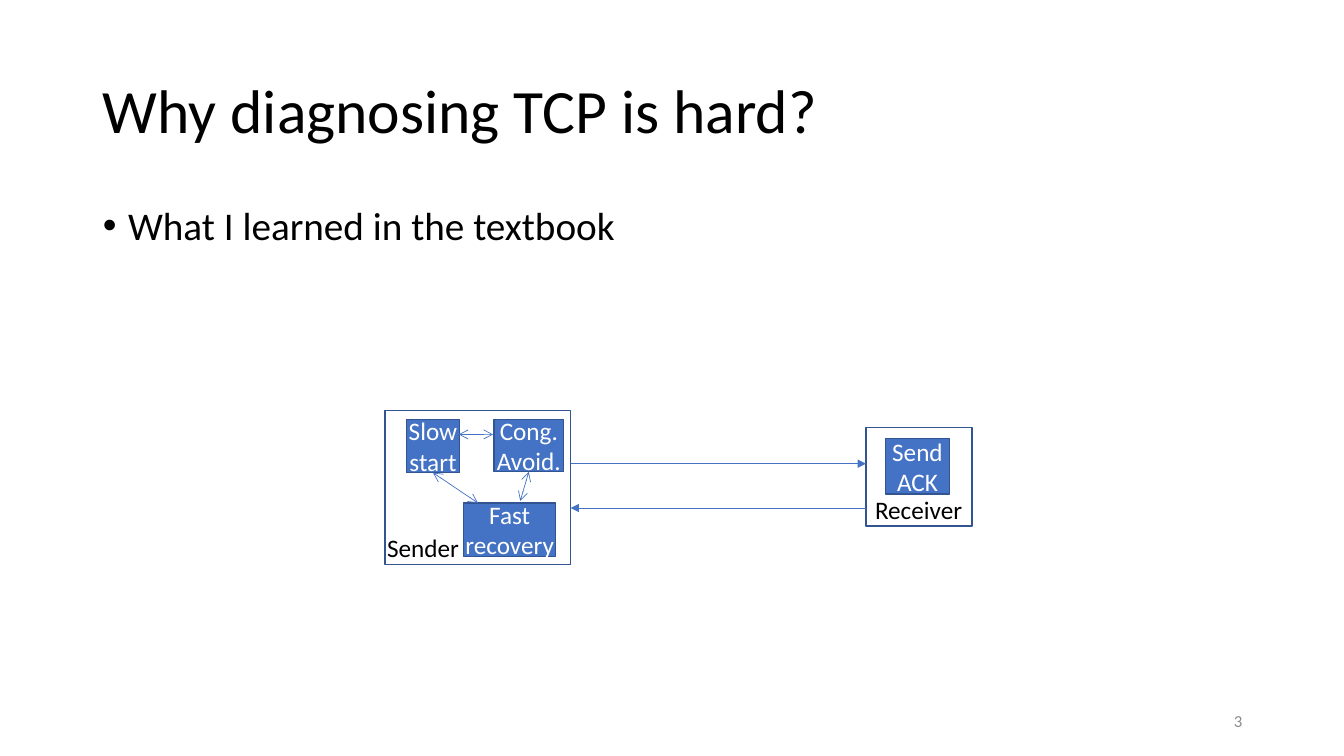
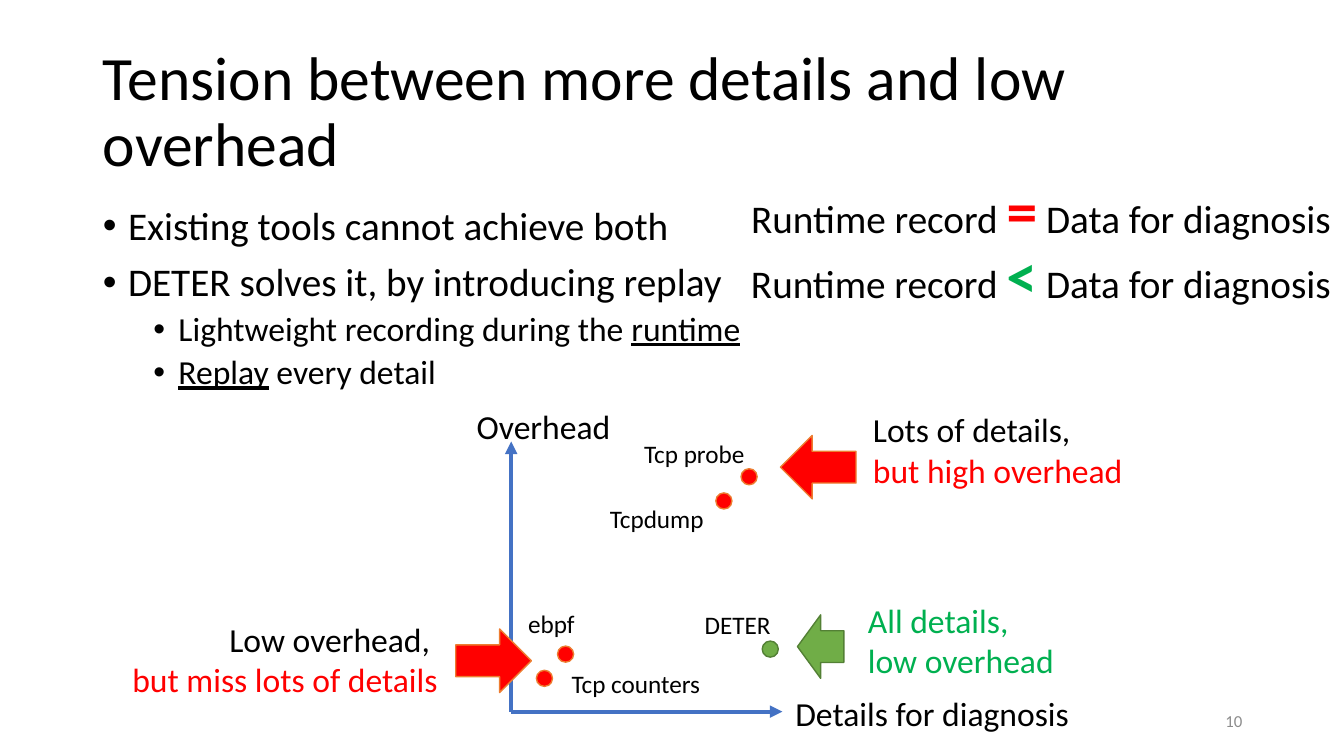
from lxml import etree
from pptx import Presentation
from pptx.dml.color import RGBColor
from pptx.enum import shapes, text
from pptx.oxml.ns import qn
from pptx.util import Inches, Pt

BLACK, WHITE = RGBColor(0, 0, 0), RGBColor(255, 255, 255)
GRAY = RGBColor(0x8C, 0x8C, 0x8C)
BLUE, NAVY = RGBColor(0x44, 0x72, 0xC4), RGBColor(0x32, 0x54, 0x91)
RED, ORANGE = RGBColor(255, 0, 0), RGBColor(0xED, 0x7D, 0x31)
GREEN, DARK_GREEN = RGBColor(0x70, 0xAD, 0x47), RGBColor(0x53, 0x80, 0x35)
TEXT_GREEN = RGBColor(0, 0xB0, 0x50)
FONT = "Calibri"
RECTANGLE, ELLIPSE, LEFT_ARROW = (
    shapes.MSO_SHAPE.RECTANGLE, shapes.MSO_SHAPE.OVAL, shapes.MSO_SHAPE.LEFT_ARROW)
LEFT, CENTER, RIGHT = text.PP_ALIGN.LEFT, text.PP_ALIGN.CENTER, text.PP_ALIGN.RIGHT
MIDDLE = text.MSO_ANCHOR.MIDDLE

# Content: bullets are (level, runs), and a run is (text, format)
UNDERLINED = {"underline": True}
HARD = {
    "title": "Why diagnosing TCP is hard?", "title_width": 11.5, "number": "3",
    "bullets": [(0, [("What I learned in the textbook", {})])],
}
TENSION = {
    "title": "Tension between more details and low overhead",
    "title_width": 12.24, "number": "10",
    "bullets": [
        (0, [("Existing tools cannot achieve both", {})]),
        (0, [("DETER solves it, by introducing replay", {})]),
        (1, [("Lightweight recording during the ", {}), ("runtime", UNDERLINED)]),
        (1, [("Replay", UNDERLINED), (" every detail", {})]),
    ],
}
# Sender and receiver: boxes as left, top, width, height
FRAMES = [(3.82, 4.07, 1.84, 1.53), (8.59, 4.24, 1.05, 0.98)]
STATES = {
    "Slow start": (4.03, 4.16, 0.53, 0.53),
    "Cong. Avoid.": (4.9, 4.16, 0.69, 0.52),
    "Fast recovery": (4.6, 4.99, 0.91, 0.53),
    "Send ACK": (8.78, 4.35, 0.64, 0.55),
}
ROLES = [("Sender", (3.74, 5.23, 0.92, 0.4)), ("Receiver", (8.58, 4.86, 1.08, 0.4))]
# Transitions: start, end, state whose bottom the line leaves
TRANSITIONS = [
    ((4.55, 4.31), (4.89, 4.31), None),
    ((5.24, 4.68), (5.16, 4.97), "Cong. Avoid."),
    ((4.3, 4.69), (4.74, 4.99), "Slow start"),
]
MESSAGES = [((5.66, 4.6), (8.59, 4.6)), ((8.59, 5.04), (5.66, 5.04))]

# Overhead chart
ORIGIN = (5.07, 7.06)
AXIS_ENDS = [(7.76, 7.06), (5.07, 4.38)]
AXIS_NAMES = [("Details for diagnosis", (7.79, 6.83, 2.94, 0.5)),
              ("Overhead", (4.63, 3.98, 1.54, 0.5))]
RED_STYLE, GREEN_STYLE = (RED, ORANGE), (GREEN, DARK_GREEN)
DOT = 0.16
TOOLS = [  # name, label box, dot corner, dot style
    ("Tcpdump", (5.95, 4.94, 1.14, 0.4), (7.1, 4.89), RED_STYLE),
    ("Tcp probe", (6.29, 4.3, 1.21, 0.4), (7.35, 4.65), RED_STYLE),
    ("Tcp counters", (5.57, 6.58, 1.49, 0.4), (5.32, 6.65), RED_STYLE),
    ("DETER", (6.89, 6, 0.86, 0.4), (7.56, 6.36), GREEN_STYLE),
    ("ebpf", (5.14, 5.99, 0.67, 0.4), (5.53, 6.41), RED_STYLE),
]
VERDICTS = [  # lines with colours, text box, alignment, arrow box, rotation, arrow style
    ([("Lots of details,", BLACK), ("but high overhead", RED)],
     (8.56, 4.01, 2.7, 0.91), LEFT, (7.74, 4.32, 0.75, 0.63), 0, RED_STYLE),
    ([("Low overhead, ", BLACK), ("but miss lots of details", RED)],
     (1.18, 6.09, 3.26, 0.91), RIGHT, (4.52, 6.24, 0.75, 0.63), 180, RED_STYLE),
    ([("All details,", TEXT_GREEN), ("low overhead", TEXT_GREEN)],
     (8.51, 5.9, 2.06, 0.91), LEFT, (7.91, 6.1, 0.46, 0.63), 0, GREEN_STYLE),
]
COMPARISONS = [("=", RED, (7.45, 1.71, 5.91, 0.74), 0),
               ("<", TEXT_GREEN, (7.35, 2.3, 6.02, 0.84), None)]


def inches(values):
    return [Inches(value) for value in values]


def add_runs(paragraph, runs, size, color=BLACK):
    for words, changes in runs:
        run = paragraph.add_run()
        run.text = words
        values = {"name": FONT, "size": Pt(size), **changes}
        run.font.color.rgb = values.pop("color", color)
        for name, value in values.items():
            setattr(run.font, name, value)


def set_margins(frame, value):
    for side in ("left", "right", "top", "bottom"):
        setattr(frame, f"margin_{side}", Inches(value))


def add_label(slide, box, lines, size, align=LEFT, margin=None):
    frame = slide.shapes.add_textbox(*inches(box)).text_frame
    frame.word_wrap = False
    frame.auto_size = text.MSO_AUTO_SIZE.SHAPE_TO_FIT_TEXT
    if margin is not None:
        set_margins(frame, margin)
    for index, runs in enumerate(lines):
        paragraph = frame.add_paragraph() if index else frame.paragraphs[0]
        paragraph.alignment = align
        add_runs(paragraph, runs, size)
    return frame


def add_box(slide, kind, box, fill, line):
    shape = slide.shapes.add_shape(kind, *inches(box))
    shape.shadow.inherit = False
    if fill is None:
        shape.fill.background()
    else:
        shape.fill.solid()
        shape.fill.fore_color.rgb = fill
    shape.line.color.rgb = line
    shape.line.width = Pt(1)
    return shape


def add_arrow(slide, start, end, width, head=None, tail="triangle"):
    connector = slide.shapes.add_connector(
        shapes.MSO_CONNECTOR.STRAIGHT, *inches(start + end))
    connector.line.color.rgb = BLUE
    connector.line.width = Pt(width)
    properties = connector.element.spPr
    line = properties.find(qn("a:ln"))
    for tag, kind in (("a:headEnd", head), ("a:tailEnd", tail)):
        if kind:
            etree.SubElement(line, qn(tag), type=kind)
    etree.SubElement(properties, qn("a:effectLst"))
    return connector


def place(placeholder, box):
    placeholder.left, placeholder.top, placeholder.width, placeholder.height = inches(box)
    frame = placeholder.text_frame
    frame.word_wrap = True
    frame.auto_size = text.MSO_AUTO_SIZE.NONE
    return frame


def add_bullet(paragraph, level):
    paragraph.level = level
    properties = paragraph._p.get_or_add_pPr()
    properties.set("marL", str(Inches(0.25 + 0.5 * level)))
    properties.set("indent", str(Inches(-0.25)))
    etree.SubElement(properties, qn("a:buFont"), typeface="Arial")
    etree.SubElement(properties, qn("a:buChar"), char="•")


def add_page(presentation, content):
    """Add the title, bullets and page number that every slide has."""
    slide = presentation.slides.add_slide(presentation.slide_layouts[1])
    title = place(slide.shapes.title, (0.92, 0.4, content["title_width"], 1.45))
    title.vertical_anchor = MIDDLE
    paragraph = title.paragraphs[0]
    paragraph.alignment, paragraph.line_spacing = LEFT, 0.9
    add_runs(paragraph, [(content["title"], {})], 44)

    body = place(slide.placeholders[1], (0.92, 2, 11.5, 4.76))
    for index, (level, runs) in enumerate(content["bullets"]):
        paragraph = body.add_paragraph() if index else body.paragraphs[0]
        add_bullet(paragraph, level)
        paragraph.line_spacing = 0.9
        paragraph.space_before = Pt((5 if level else 10) if index else 0)
        add_runs(paragraph, runs, 24 if level else 28)

    number = [(content["number"], {"color": GRAY})]
    frame = add_label(slide, (9.42, 6.95, 3, 0.4), [number], 12, RIGHT)
    frame.word_wrap = True
    frame.auto_size = text.MSO_AUTO_SIZE.NONE
    frame.vertical_anchor = MIDDLE
    return slide


def draw_states(slide):
    for box in FRAMES:
        add_box(slide, RECTANGLE, box, None, NAVY)
    states = {}
    for name, box in STATES.items():
        states[name] = add_box(slide, RECTANGLE, box, BLUE, NAVY)
        frame = states[name].text_frame
        frame.word_wrap = True
        frame.vertical_anchor = MIDDLE
        set_margins(frame, 0)
        frame.paragraphs[0].alignment = CENTER
        add_runs(frame.paragraphs[0], [(name, {})], 18, WHITE)
    for name, box in ROLES:
        add_label(slide, box, [[(name, {})]], 18)
    for start, end, source in TRANSITIONS:
        connector = add_arrow(slide, start, end, 0.5, "arrow", "arrow")
        if source:
            connector.begin_connect(states[source], 2)
    for start, end in MESSAGES:
        add_arrow(slide, start, end, 0.5)


def draw_tension(slide):
    # Axes
    for end in AXIS_ENDS:
        add_arrow(slide, ORIGIN, end, 3)
    for name, box in AXIS_NAMES:
        add_label(slide, box, [[(name, {})]], 24)
    # Tools
    for name, box, corner, style in TOOLS:
        add_box(slide, ELLIPSE, corner + (DOT, DOT), *style)
        add_label(slide, box, [[(name, {})]], 18)
    # Verdicts and their arrows
    for lines, box, align, arrow_box, rotation, style in VERDICTS:
        paragraphs = [[(words, {"color": color})] for words, color in lines]
        add_label(slide, box, paragraphs, 24, align)
        add_box(slide, LEFT_ARROW, arrow_box, *style).rotation = rotation
    # Comparisons beside the bullets
    for sign, color, box, margin in COMPARISONS:
        runs = [("Runtime record ", {}),
                (sign, {"size": Pt(44), "color": color, "bold": True}),
                (" ", {"bold": True}), ("Data for diagnosis", {})]
        add_label(slide, box, [runs], 28, margin=margin)


def main():
    presentation = Presentation()
    presentation.slide_width, presentation.slide_height = inches((13.33, 7.5))
    draw_states(add_page(presentation, HARD))
    draw_tension(add_page(presentation, TENSION))
    presentation.save("out.pptx")


if __name__ == "__main__":
    main()
